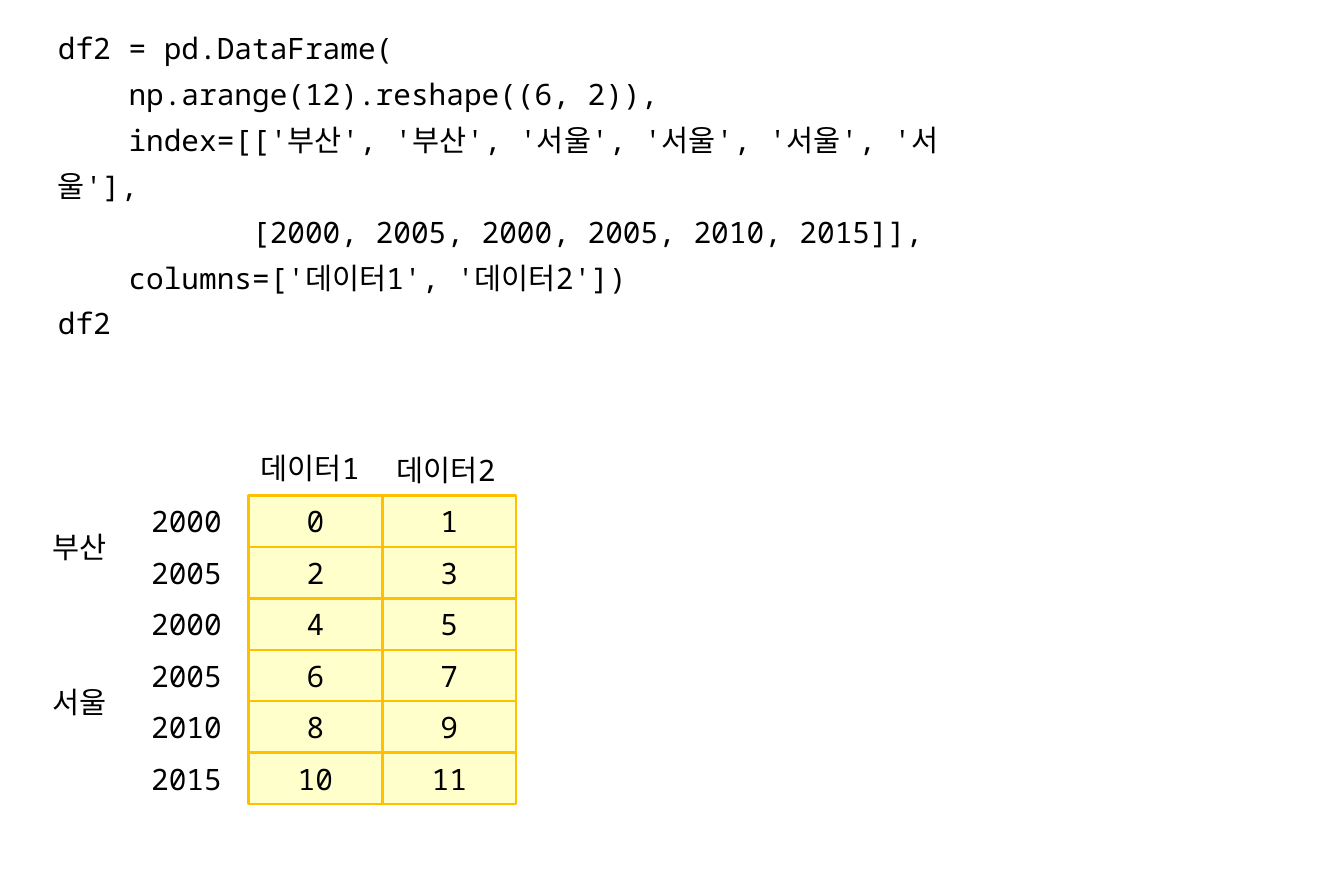
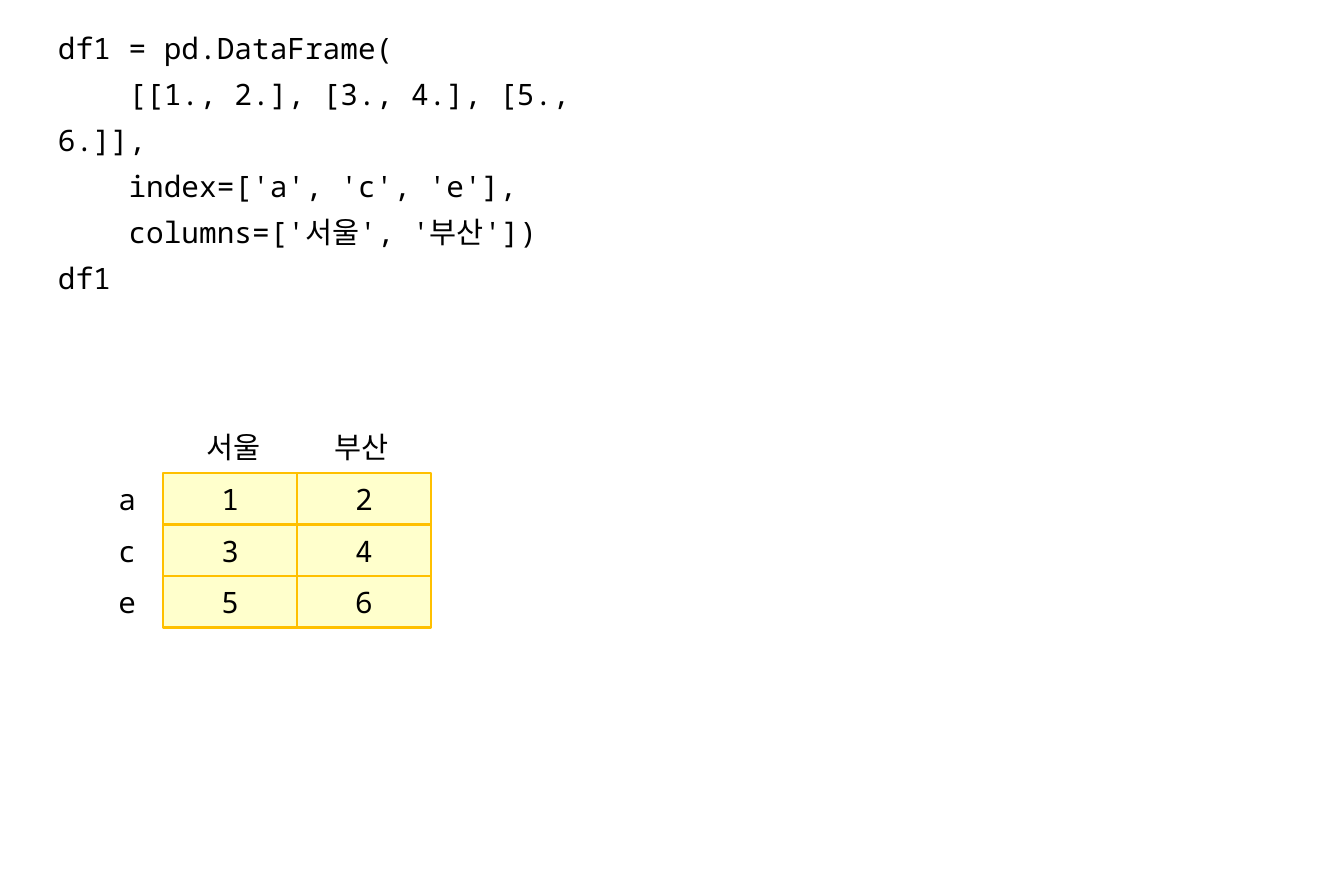
"""Build two slides that pair pandas DataFrame code with the resulting grid."""
import pptx
import pptx.dml.color
import pptx.enum.shapes
import pptx.enum.text
import pptx.util
from pptx.util import Cm

BLACK = pptx.dml.color.RGBColor(0x00, 0x00, 0x00)
CELL_FILL = pptx.dml.color.RGBColor(0xFF, 0xFF, 0xCC)
CELL_LINE = pptx.dml.color.RGBColor(0xFF, 0xC0, 0x00)
FONT_NAME = "Noto Sans Mono"
FONT_SIZE = pptx.util.Pt(18)
CELL_WIDTH = 2.89
ROW_HEIGHT = 1.11
GROUP_WIDTH = 1.96

FRAMES = [
    {
        "code": [
            "df2 = pd.DataFrame(",
            "    np.arange(12).reshape((6, 2)),",
            "    index=[['부산', '부산', '서울', '서울', '서울', '서울'],",
            "           [2000, 2005, 2000, 2005, 2010, 2015]],",
            "    columns=['데이터1', '데이터2'])",
            "df2",
        ],
        "code_size": (20.88, 6.17),
        "left": 5.36,
        "top": 10.69,
        "headers": [("데이터1", 5.13, 9.53, 3.12), ("데이터2", 7.87, 9.58, 3.51)],
        "index_width": 2.67,
        "index": ["2000", "2005", "2000", "2005", "2010", "2015"],
        "groups": [("부산", 0, 2), ("서울", 2, 4)],
        "first_value": 0,
    },
    {
        "code": [
            "df1 = pd.DataFrame(",
            "    [[1., 2.], [3., 4.], [5., 6.]],",
            "    index=['a', 'c', 'e'],",
            "    columns=['서울', '부산'])",
            "df1",
        ],
        "code_size": (12.83, 5.18),
        "left": 3.52,
        "top": 10.21,
        "headers": [("서울", 3.48, 9.09, 3.12), ("부산", 6.05, 9.09, 3.51)],
        "index_width": 1.55,
        "index": ["a", "c", "e"],
        "groups": [],
        "first_value": 1,
    },
]


def add_run(paragraph, text):
    run = paragraph.add_run()
    run.text = text
    run.font.name = FONT_NAME
    run.font.size = FONT_SIZE
    run.font.color.rgb = BLACK


def add_label(slide, text, left, top, width, height=ROW_HEIGHT, boxed=False):
    bounds = Cm(left), Cm(top), Cm(width), Cm(height)
    if boxed:
        shape = slide.shapes.add_shape(pptx.enum.shapes.MSO_SHAPE.RECTANGLE, *bounds)
        shape.shadow.inherit = False
        shape.fill.solid()
        shape.fill.fore_color.rgb = CELL_FILL
        shape.line.color.rgb = CELL_LINE
        shape.line.width = pptx.util.Pt(1.5)
    else:
        shape = slide.shapes.add_textbox(*bounds)
    shape.text_frame.word_wrap = True
    shape.text_frame.vertical_anchor = pptx.enum.text.MSO_ANCHOR.MIDDLE
    paragraph = shape.text_frame.paragraphs[0]
    paragraph.alignment = pptx.enum.text.PP_ALIGN.CENTER
    add_run(paragraph, text)


presentation = pptx.Presentation()
presentation.slide_width = Cm(29)
presentation.slide_height = Cm(19.05)

for frame in FRAMES:
    slide = presentation.slides.add_slide(presentation.slide_layouts[6])
    left, top = frame["left"], frame["top"]

    code_width, code_height = frame["code_size"]
    code_box = slide.shapes.add_textbox(Cm(1), Cm(0.3), Cm(code_width), Cm(code_height))
    code_box.text_frame.word_wrap = True
    code_box.text_frame.auto_size = pptx.enum.text.MSO_AUTO_SIZE.SHAPE_TO_FIT_TEXT
    for number, line in enumerate(frame["code"]):
        if number == 0:
            paragraph = code_box.text_frame.paragraphs[0]
        else:
            paragraph = code_box.text_frame.add_paragraph()
        paragraph.line_spacing = 1.3
        add_run(paragraph, line)

    for header, header_left, header_top, header_width in frame["headers"]:
        add_label(slide, header, header_left, header_top, header_width)

    index_left = left - frame["index_width"]
    column_count = len(frame["headers"])
    for row, name in enumerate(frame["index"]):
        row_top = top + row * ROW_HEIGHT
        add_label(slide, name, index_left, row_top, frame["index_width"])
        for column in range(column_count):
            value = frame["first_value"] + row * column_count + column
            cell_left = left + column * CELL_WIDTH
            add_label(slide, str(value), cell_left, row_top, CELL_WIDTH, boxed=True)

    for name, first_row, row_count in frame["groups"]:
        add_label(slide, name, index_left - GROUP_WIDTH, top + first_row * ROW_HEIGHT,
                  GROUP_WIDTH, row_count * ROW_HEIGHT)

presentation.save("out.pptx")
